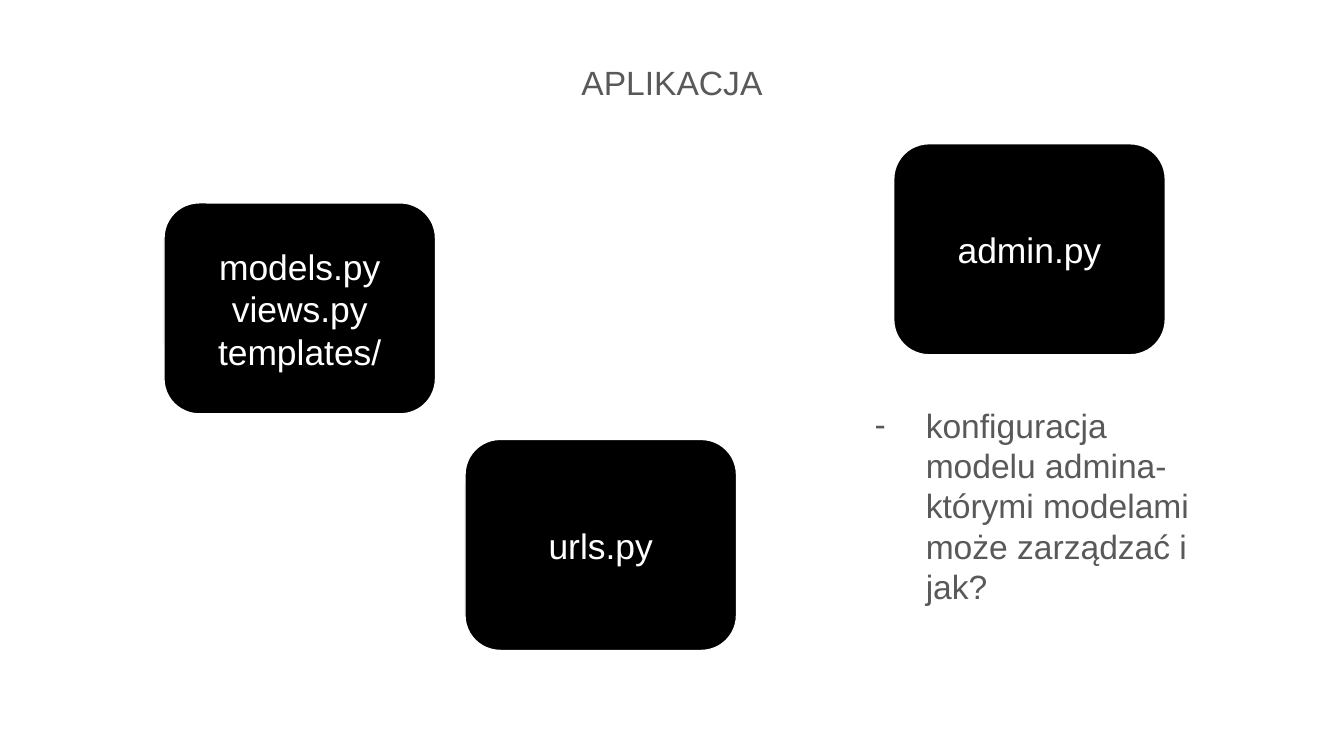
from dataclasses import dataclass

from lxml import etree
from pptx import Presentation
from pptx.dml.color import RGBColor
from pptx.enum.shapes import MSO_SHAPE
from pptx.enum.text import MSO_ANCHOR, MSO_AUTO_SIZE, PP_ALIGN
from pptx.oxml.ns import qn
from pptx.slide import Slide
from pptx.text.text import TextFrame
from pptx.util import Inches, Pt

ROUNDED = MSO_SHAPE.ROUNDED_RECTANGLE
TOP, MIDDLE = MSO_ANCHOR.TOP, MSO_ANCHOR.MIDDLE
LEFT, CENTER = PP_ALIGN.LEFT, PP_ALIGN.CENTER
NO_AUTOSIZE = MSO_AUTO_SIZE.NONE
TITLE_ONLY = 5


@dataclass(frozen=True)
class Theme:
    font: str = "Arial"
    dark: RGBColor = RGBColor(0, 0, 0)
    light: RGBColor = RGBColor(255, 255, 255)
    grey: RGBColor = RGBColor(0x59, 0x59, 0x59)
    body_size: float = 18
    box_size: float = 19
    outline: float = 0.75
    inset: float = 0.1


@dataclass(frozen=True)
class FileBox:
    left: float
    top: float
    lines: tuple[str, ...]


THEME = Theme()
BOX_WIDTH, BOX_HEIGHT = 2.02, 1.57
FILE_BOXES = (
    FileBox(3.46, 3.27, ("urls.py",)),
    FileBox(1.22, 1.51, ("models.py", "views.py", "templates/")),
    FileBox(6.65, 1.07, ("admin.py",)),
)


def write_text(frame: TextFrame, lines: tuple[str, ...], size: float,
               color: RGBColor, align: PP_ALIGN, anchor: MSO_ANCHOR) -> None:
    margin = Inches(THEME.inset)
    frame_format = {
        "word_wrap": True,
        "auto_size": NO_AUTOSIZE,
        "vertical_anchor": anchor,
        "margin_left": margin,
        "margin_top": margin,
        "margin_right": margin,
        "margin_bottom": margin,
    }
    for name, value in frame_format.items():
        setattr(frame, name, value)
    frame.text = "\n".join(lines)
    para_format = {"alignment": align, "line_spacing": 1.0, "space_before": Pt(0)}
    font_format = {"name": THEME.font, "size": Pt(size)}
    for para in frame.paragraphs:
        for name, value in para_format.items():
            setattr(para, name, value)
        for span in para.runs:
            for name, value in font_format.items():
                setattr(span.font, name, value)
            span.font.color.rgb = color


def add_file_box(page: Slide, item: FileBox) -> None:
    box = page.shapes.add_shape(ROUNDED, Inches(item.left), Inches(item.top),
                                Inches(BOX_WIDTH), Inches(BOX_HEIGHT))
    box.shadow.inherit = False
    box.fill.solid()
    box.fill.fore_color.rgb = THEME.dark
    box.line.color.rgb = THEME.light
    box.line.width = Pt(THEME.outline)
    write_text(box.text_frame, item.lines, THEME.box_size, THEME.light, CENTER, MIDDLE)


def add_dash_note(page: Slide, text: str) -> None:
    note = page.shapes.add_textbox(Inches(6.29), Inches(2.91), Inches(2.74), Inches(1.93))
    write_text(note.text_frame, (text,), THEME.body_size, THEME.grey, LEFT, TOP)
    properties = note.text_frame.paragraphs[0]._p.get_or_add_pPr()
    properties.set("marL", str(Inches(0.5)))
    properties.set("indent", str(Inches(-0.38)))
    bullet_color = etree.SubElement(properties, qn("a:buClr"))
    etree.SubElement(bullet_color, qn("a:srgbClr"), val=str(THEME.grey))
    etree.SubElement(properties, qn("a:buFont"), typeface=THEME.font)
    etree.SubElement(properties, qn("a:buChar"), char="-")


def format_title(page: Slide, text: str) -> None:
    title = page.shapes.title
    place = {"left": 4.17, "top": 0.36, "width": 1.66, "height": 0.62}
    for name, value in place.items():
        setattr(title, name, Inches(value))
    write_text(title.text_frame, (text,), THEME.body_size, THEME.grey, CENTER, TOP)


def main() -> None:
    deck = Presentation()
    deck.slide_width = Inches(10)
    deck.slide_height = deck.slide_width * 9 // 16
    page = deck.slides.add_slide(deck.slide_layouts[TITLE_ONLY])
    format_title(page, "APLIKACJA")
    for item in FILE_BOXES:
        add_file_box(page, item)
    add_dash_note(page, "konfiguracja modelu admina- którymi modelami może zarządzać i jak?")
    deck.save("out.pptx")


if __name__ == "__main__":
    main()
